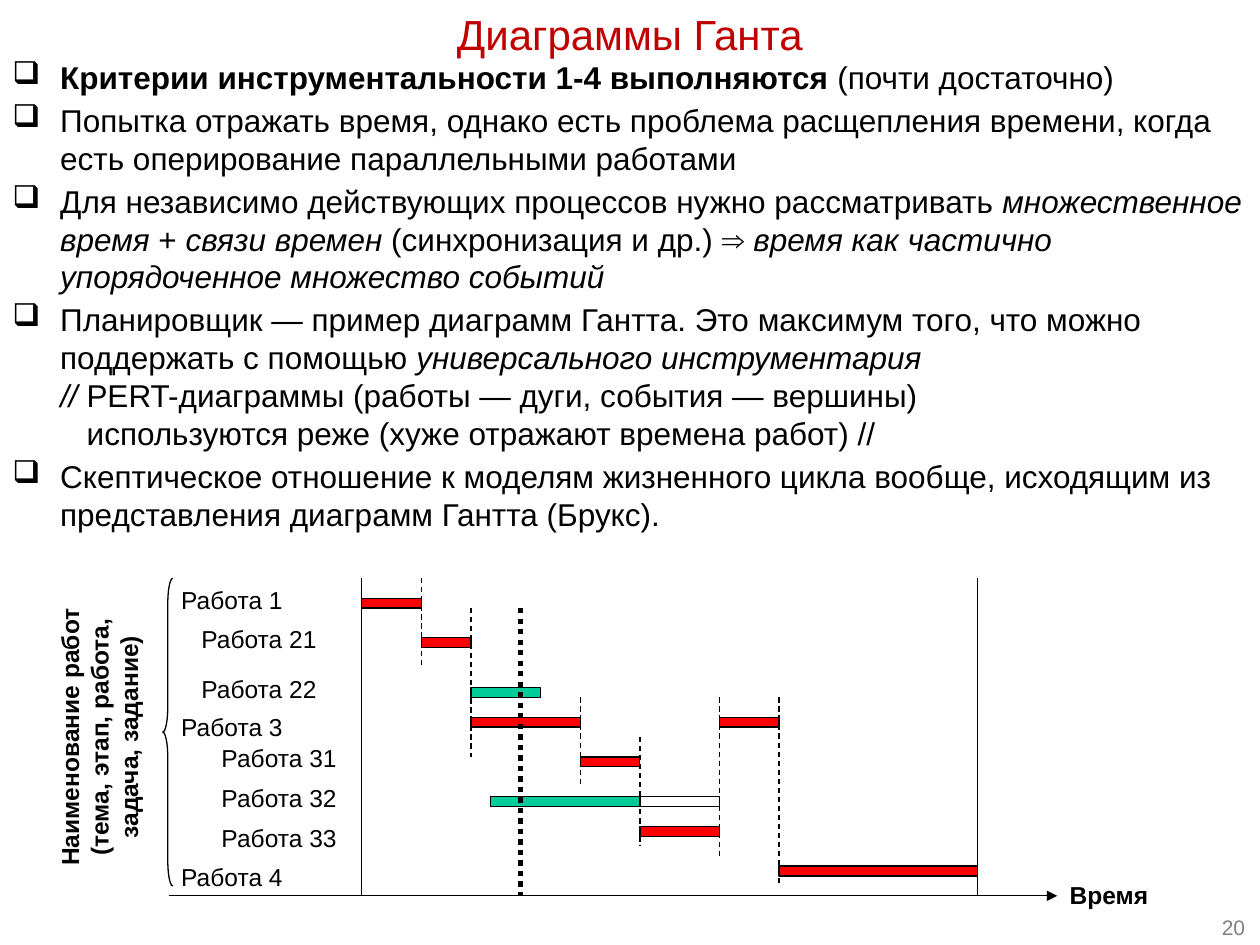
from pptx import Presentation
from pptx.dml.color import RGBColor
from pptx.enum.dml import MSO_LINE
from pptx.enum.shapes import MSO_CONNECTOR, MSO_SHAPE
from pptx.enum.text import PP_ALIGN
from pptx.oxml.ns import qn
from pptx.util import Inches, Pt
from lxml import etree

LEFT, CENTER, RIGHT = PP_ALIGN.LEFT, PP_ALIGN.CENTER, PP_ALIGN.RIGHT
DASH, DOT = MSO_LINE.DASH, MSO_LINE.ROUND_DOT
RECTANGLE, BRACE = MSO_SHAPE.RECTANGLE, MSO_SHAPE.LEFT_BRACE
STRAIGHT = MSO_CONNECTOR.STRAIGHT

WIDTH, HEIGHT = 10, 7.5
BLACK, WHITE, GRAY = "000000", "FFFFFF", "808080"
TITLE_RED, RED, GREEN = "C00000", "FF0000", "00CC99"
COLUMNS, ROWS = 62, 32
LABEL_COLUMN, LABEL_WIDTH, LABEL_HEIGHT = -19.4, 19.4, 4.2
INDENT = 0.38
REMARK_INDENT = 0.21
LEVEL_INDENT = 0.16

POINTS = [
    [("Критерии инструментальности 1-4 выполняются ", "b"), ("(почти достаточно)", "")],
    [("Попытка отражать время, однако есть проблема расщепления времени, "
      "когда есть оперирование параллельными работами", "")],
    [("Для независимо действующих процессов нужно рассматривать ", ""),
     ("множественное время", "i"), (" + ", ""), ("связи времен", "i"),
     (" (синхронизация и др.) ⇒ ", ""),
     ("время как частично упорядоченное множество событий", "i")],
    [("Планировщик — пример диаграмм Гантта. Это максимум того, что можно "
      "поддержать с помощью ", ""), ("универсального инструментария", "i")],
    [("// ", "i"), ("PERT-диаграммы (работы — дуги, события — вершины)\v"
                    "используются реже (хуже отражают времена работ) //", "")],
    [("Скептическое отношение к моделям жизненного цикла вообще, исходящим "
      "из представления диаграмм Гантта (Брукс).", "")],
]
REMARK = 4

TASKS = [
    ("Работа 1", 0, 0), ("Работа 21", 1, 4), ("Работа 22", 1, 9),
    ("Работа 3", 0, 12.8), ("Работа 31", 2, 16), ("Работа 32", 2, 20),
    ("Работа 33", 2, 24), ("Работа 4", 0, 28),
]
BARS = [
    (0, 6, 2, RED), (6, 11, 6, RED), (11, 18, 11, GREEN), (11, 22, 14, RED),
    (36, 42, 14, RED), (22, 28, 18, RED), (13, 28, 22, GREEN),
    (28, 36, 22, WHITE), (28, 36, 25, RED), (42, 62, 29, RED),
]
LINKS = [(6, 0, 9), (11, 3, 18), (22, 12, 21), (28, 16, 27), (36, 12, 28), (42, 12, 31)]


def color(value):
    return RGBColor.from_string(value)


def style(paragraph, size, text_color=BLACK, bold=False, alignment=LEFT):
    paragraph.alignment = alignment
    font = paragraph.font
    font.name, font.size, font.bold = "Arial", Pt(size), bold
    font.color.rgb = color(text_color)


def set_indent(paragraph, margin, first_line=0):
    properties = paragraph._p.get_or_add_pPr()
    properties.set("marL", str(Inches(margin)))
    properties.set("indent", str(Inches(first_line)))
    return properties


def add_frame(slide, box):
    frame = slide.shapes.add_textbox(*map(Inches, box)).text_frame
    frame.word_wrap = True
    return frame


def add_text(slide, box, text, size, **options):
    frame = add_frame(slide, box)
    paragraph = frame.paragraphs[0]
    paragraph.text = text
    style(paragraph, size, **options)
    return frame


def add_line(slide, start, end, width=0.75, dash=None, arrow=False):
    line = slide.shapes.add_connector(STRAIGHT, *map(Inches, start + end))
    line.line.color.rgb = color(BLACK)
    line.line.width = Pt(width)
    if dash:
        line.line.dash_style = dash
    if arrow:
        etree.SubElement(line.line._get_or_add_ln(), qn("a:tailEnd"), type="triangle")
    etree.SubElement(line._element.spPr, qn("a:effectLst"))


def add_outlined(slide, kind, box, fill=None):
    shape = slide.shapes.add_shape(kind, *map(Inches, box))
    shape.shadow.inherit = False
    if fill:
        shape.fill.solid()
        shape.fill.fore_color.rgb = color(fill)
    else:
        shape.fill.background()
    shape.line.color.rgb = color(BLACK)
    shape.line.width = Pt(0.75)
    return shape


def add_points(slide, box):
    frame = add_frame(slide, box)
    for index, runs in enumerate(POINTS):
        paragraph = frame.paragraphs[0] if index == 0 else frame.add_paragraph()
        if index == REMARK:
            set_indent(paragraph, INDENT + REMARK_INDENT, -REMARK_INDENT)
            paragraph.space_before = Pt(0)
        else:
            properties = set_indent(paragraph, INDENT, -INDENT)
            paragraph.space_before = Pt(3)
            etree.SubElement(properties, qn("a:buChar"), char="❑")
        style(paragraph, 18, bold=None)
        for position, (text, emphasis) in enumerate(runs):
            for part, piece in enumerate(text.split("\v")):
                if part:
                    paragraph.add_line_break()
                run = paragraph.add_run()
                run.text = piece
                run.font.bold = emphasis == "b"
                run.font.italic = emphasis == "i"


def add_gantt(slide, box):
    left, top, width, height = box
    column, row = width / COLUMNS, height / ROWS

    def point(x, y):
        return left + x * column, top + y * row

    def area(x, y, columns, rows):
        return point(x, y) + (columns * column, rows * row)

    for text, level, y in TASKS:
        label = add_text(slide, area(LABEL_COLUMN, y, LABEL_WIDTH, LABEL_HEIGHT), text, 14)
        set_indent(label.paragraphs[0], level * LEVEL_INDENT)
    heading = add_text(slide, area(-31.5, 1, 11.5, 30),
                       "Наименование работ (тема, этап, работа, задача, задание)",
                       14, bold=True, alignment=CENTER)
    heading._txBody.bodyPr.set("vert", "vert270")
    brace = add_outlined(slide, BRACE, area(-20, 0, 1, 31))
    brace.adjustments[0] = 2.6

    for x in (0, COLUMNS):
        add_line(slide, point(x, 0), point(x, ROWS))
    add_line(slide, point(LABEL_COLUMN, ROWS), point(70, ROWS), arrow=True)
    for start, end, y, fill in BARS:
        add_outlined(slide, RECTANGLE, area(start, y, end - start, 1), fill)
    for x, start, end in LINKS:
        add_line(slide, point(x, start), point(x, end), dash=DASH)
    add_line(slide, point(16, 3), point(16, ROWS), width=3, dash=DOT)
    add_text(slide, area(70, 29.8, 11, LABEL_HEIGHT), "Время", 14, bold=True)


def main():
    presentation = Presentation()
    presentation.slide_width, presentation.slide_height = Inches(WIDTH), Inches(HEIGHT)
    slide = presentation.slides.add_slide(presentation.slide_layouts[6])
    add_text(slide, (0, 0.02, WIDTH, 0.56), "Диаграммы Ганта", 24,
             text_color=TITLE_RED, alignment=CENTER)
    add_points(slide, (0, 0.41, WIDTH, 3.57))
    add_gantt(slide, (2.87, 4.59, 4.89, 2.52))
    add_text(slide, (9.33, 7.21, 0.65, 0.29), "20", 12, text_color=GRAY, alignment=RIGHT)
    presentation.save("out.pptx")


if __name__ == "__main__":
    main()
